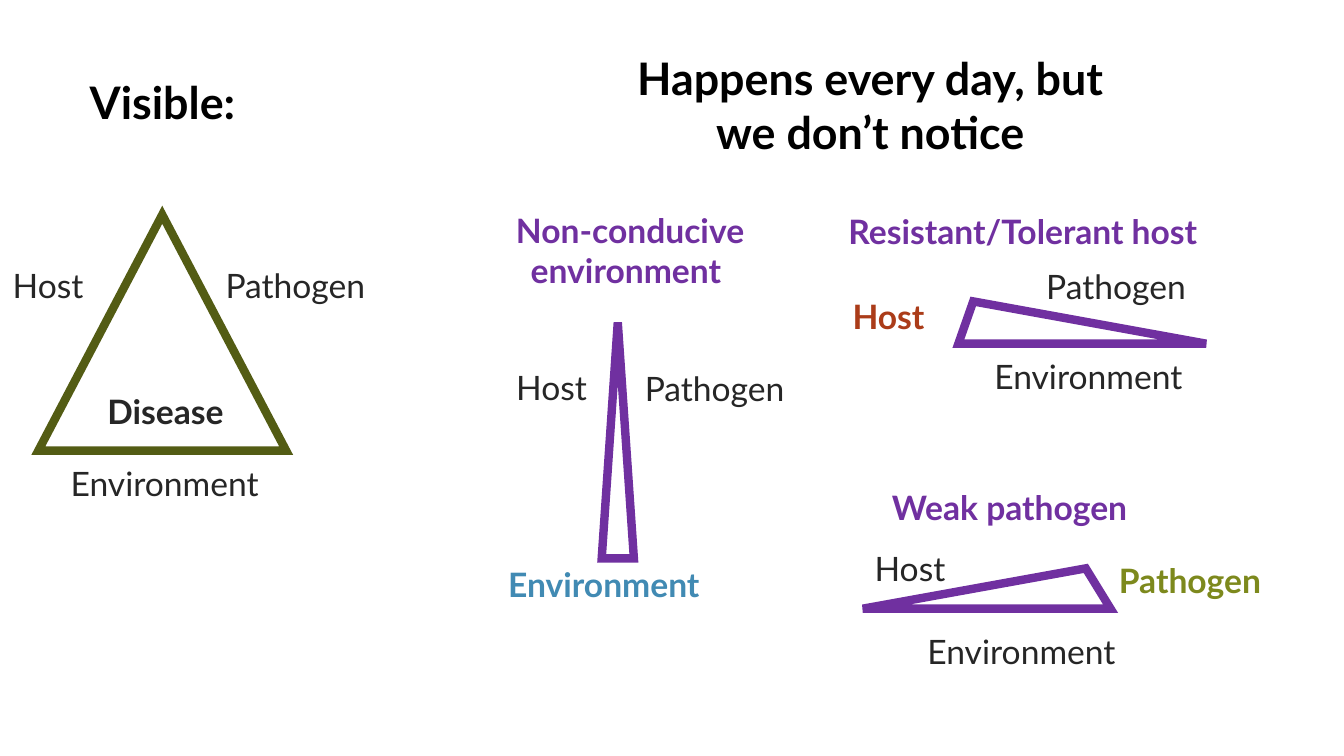
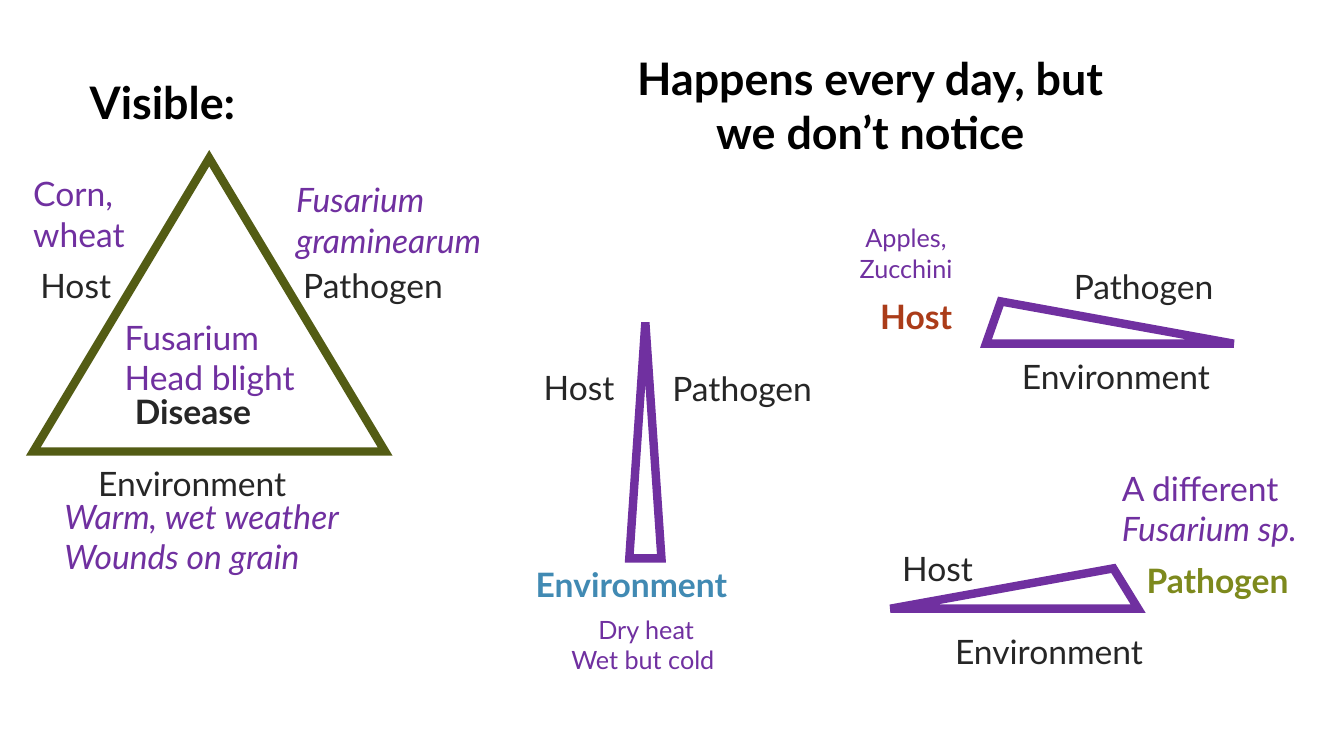
import pptx
import pptx.dml.color
import pptx.enum.shapes
import pptx.enum.text
import pptx.util
import lxml.etree

Pt = pptx.util.Pt
COLOURS = {
    "title": "000000", "text": "262626", "paper": "FFFFFF", "purple": "7030A0",
    "olive": "535C14", "host": "AB3C19", "environment": "418AB3", "pathogen": "7D891D",
}


class Deck:
    """Disease triangle slides with one shared style."""

    font = "Lato"
    label_size = 24
    note_size = 18
    title_size = 32
    outline = 6

    def __init__(self):
        self.show = pptx.Presentation()
        self.show.slide_width, self.show.slide_height = Pt(960), Pt(540)
        self.slide = None

    def new_slide(self):
        self.slide = self.show.slides.add_slide(self.show.slide_layouts[6])

    def colour(self, name):
        return pptx.dml.color.RGBColor.from_string(COLOURS[name])

    def style(self, run, size, colour, bold=False, italic=False):
        run.font.name, run.font.size = self.font, Pt(size)
        run.font.bold, run.font.italic = bold, italic
        run.font.color.rgb = self.colour(colour)

    def label(self, text, left, top, width, colour="text", size=label_size,
              bold=False, italic=False, centred=False, filled=False):
        box = self.slide.shapes.add_textbox(Pt(left), Pt(top), Pt(width), Pt(size * 1.5))
        if filled:
            box.fill.solid()
            box.fill.fore_color.rgb = self.colour("paper")
        frame = box.text_frame
        frame.word_wrap = True
        frame.auto_size = pptx.enum.text.MSO_AUTO_SIZE.SHAPE_TO_FIT_TEXT
        frame.text = text
        for paragraph in frame.paragraphs:
            if centred:
                paragraph.alignment = pptx.enum.text.PP_ALIGN.CENTER
            for run in paragraph.runs:
                self.style(run, size, colour, bold, italic)
        return frame

    def title(self, text, left, top, width, centred=False):
        self.label(text, left, top, width, "title", self.title_size, True, centred=centred)

    def factor(self, text, left, top, width, colour):
        self.label(text, left, top, width, colour, bold=True)

    def example(self, text, left, top, width, italic=False):
        return self.label(text, left, top, width, "purple", italic=italic)

    def note(self, text, left, top, width):
        self.label(text, left, top, width, "purple", self.note_size, centred=True)

    def triangle(self, left, top, width, height, colour="purple", apex=0.5):
        shape = self.slide.shapes.add_shape(
            pptx.enum.shapes.MSO_SHAPE.ISOSCELES_TRIANGLE,
            Pt(left), Pt(top), Pt(width), Pt(height))
        shape.adjustments[0] = apex
        shape.shadow.inherit = False
        shape.fill.background()
        shape.line.width = Pt(self.outline)
        shape.line.color.rgb = self.colour(colour)
        line = shape.line._get_or_add_ln()
        lxml.etree.SubElement(line, pptx.oxml.ns.qn("a:miter"), lim="800000")


def draw_titles(deck):
    deck.title("Visible:", 57, 50, 132)
    deck.title("Happens every day, but we don’t notice", 441.3, 33, 360.7, centred=True)


def draw_visible(deck, shift, pathogen_left, triangle):
    deck.label("Pathogen", pathogen_left, 185.8, 120, filled=True)
    deck.triangle(*triangle, "olive")
    deck.label("Host", 2 + shift, 185.8, 71)
    deck.label("Environment", 43.4 + shift, 327, 161)
    deck.label("Disease", 69.6 + shift, 275.8, 106, bold=True)


def draw_unnoticed(deck, shift):
    deck.triangle(429.8 + shift, 230.4, 23, 168.5)
    deck.label("Host", 361.6 + shift, 258.5, 71)
    deck.label("Pathogen", 453.5 + shift, 259.2, 120, filled=True)
    deck.factor("Environment", 355.9 + shift, 399.6, 171, "environment")

    deck.triangle(684.6 + shift, 215.3, 177, 30.2, apex=0.06)
    deck.factor("Host", 601.9 + shift, 208, 75, "host")
    deck.label("Pathogen", 740.2 + shift, 186.5, 120)
    deck.label("Environment", 703.2 + shift, 250.6, 161)

    deck.triangle(616.3 + shift, 406, 177, 28.8, apex=0.9)
    deck.label("Host", 617.6 + shift, 388, 71)
    deck.factor("Pathogen", 792.2 + shift, 396.7, 127, "pathogen")
    deck.label("Environment", 655.4 + shift, 447, 161)


def draw_reasons(deck):
    deck.label("Non-conducive environment ", 328.3, 146.2, 243.4, "purple",
               bold=True, centred=True)
    deck.factor("Resistant/Tolerant host", 599, 146.9, 283, "purple")
    deck.factor("Weak pathogen", 630, 344.2, 201, "purple")


def draw_examples(deck):
    deck.example("Fusarium\ngraminearum", 204.5, 124.6, 163, italic=True)
    deck.example("Corn,\nwheat", 16.6, 120.2, 85)
    deck.example("Warm, wet weather\nWounds on grain", 38.9, 350.6, 225, italic=True)
    deck.example("Fusarium\nHead blight", 82, 222.5, 143)
    deck.note("Dry heat\nWet but cold ", 384.5, 434.9, 154)
    deck.note("Apples,\nZucchini", 570.2, 155.5, 154)
    relative = deck.example("A different ", 794.2, 330.5, 165)
    species = relative.paragraphs[0].add_run()
    species.text = "Fusarium sp."
    deck.style(species, deck.label_size, "purple", italic=True)


def main():
    deck = Deck()
    deck.new_slide()
    draw_titles(deck)
    draw_visible(deck, 0, 154, (27.4, 153.4, 177, 168.5))
    draw_unnoticed(deck, 0)
    draw_reasons(deck)

    deck.new_slide()
    draw_titles(deck)
    draw_visible(deck, 19.7, 209.5, (23.8, 113, 251.3, 209.5))
    draw_unnoticed(deck, 19.7)
    draw_examples(deck)
    deck.show.save("out.pptx")


if __name__ == "__main__":
    main()
